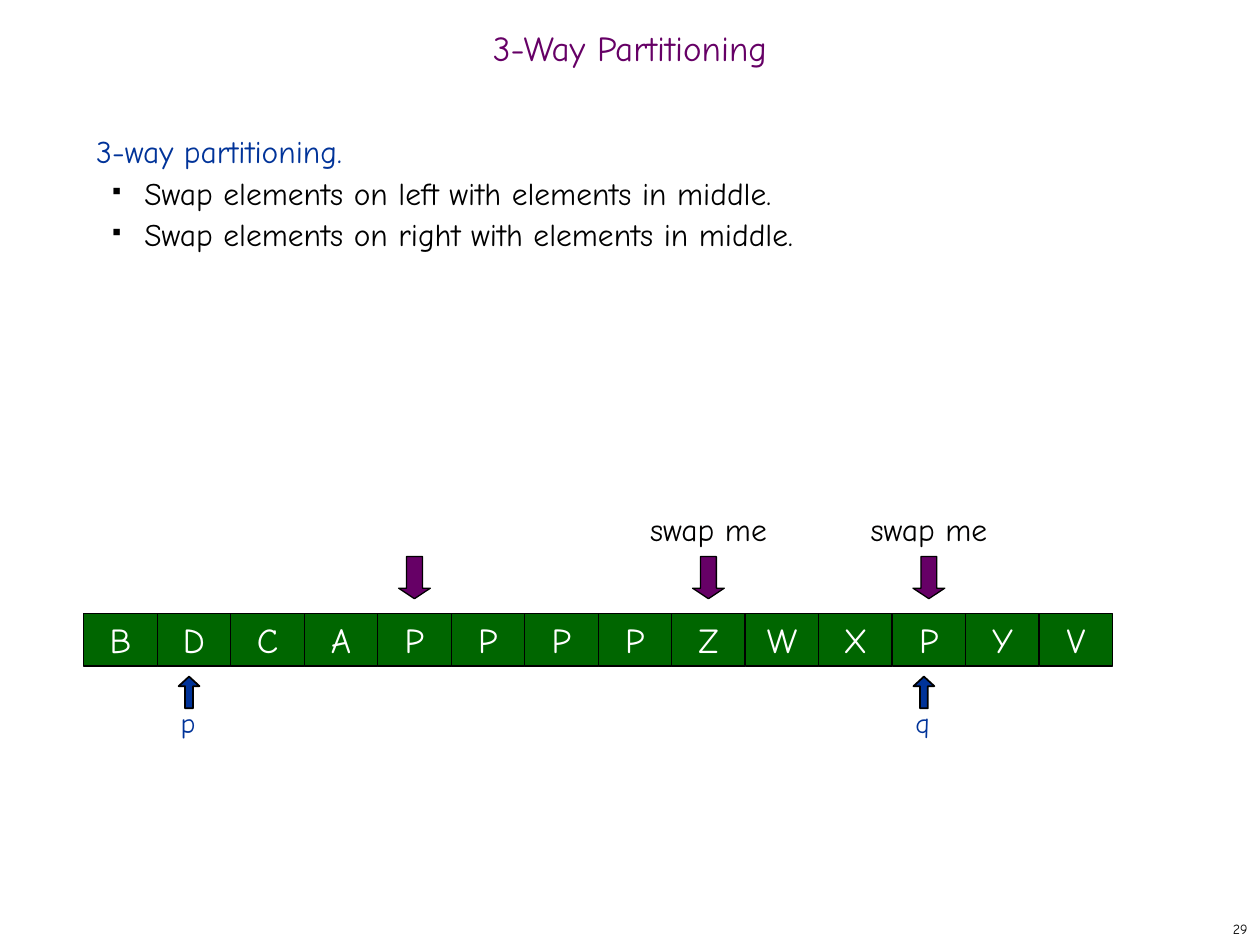
from lxml.etree import SubElement
from pptx import Presentation
from pptx.dml.color import RGBColor
from pptx.enum.shapes import MSO_SHAPE
from pptx.enum.text import MSO_ANCHOR, MSO_AUTO_SIZE, PP_ALIGN
from pptx.oxml.ns import qn
from pptx.util import Cm, Pt

FONT = "Comic Neue"
BLACK, WHITE, GREEN, BLUE, PLUM = "000000", "FFFFFF", "006600", "003399", "660066"
LEFT, TOP, HIGH = 1.69, 12.37, 1.06
KEYS = "BDCAPPPPZWXPYV"
STEP = 20.74 / len(KEYS)


def paint(color, code):
    color.rgb = RGBColor.from_string(code)


def mid(cell):
    """Centre of a cell of the array, in cm."""
    return LEFT + (cell + 0.5) * STEP


def write(para, text, size, code, align=PP_ALIGN.LEFT, before=0):
    para.alignment = align
    para.space_before = Pt(before)
    run = para.add_run()
    run.text = text
    run.font.name = FONT
    run.font.size = Pt(size)
    paint(run.font.color, code)


def add_box(shapes, x, y, w, h, anchor=MSO_ANCHOR.TOP):
    frame = shapes.add_textbox(Cm(x), Cm(y), Cm(w), Cm(h)).text_frame
    frame.word_wrap = True
    frame.vertical_anchor = anchor
    return frame


def add_form(shapes, kind, x, y, w, h, fill, line=0.75):
    form = shapes.add_shape(kind, Cm(x), Cm(y), Cm(w), Cm(h))
    form.shadow.inherit = False
    form.fill.solid()
    paint(form.fill.fore_color, fill)
    paint(form.line.color, BLACK)
    form.line.width = Pt(line)
    return form


def add_bullet(para):
    props = para._p.get_or_add_pPr()
    props.set("marL", str(Cm(0.97)))
    props.set("indent", str(-Cm(0.64)))
    color = SubElement(props, qn("a:buClr"))
    SubElement(color, qn("a:srgbClr"), val=BLACK)
    SubElement(props, qn("a:buSzPct"), val="35000")
    SubElement(props, qn("a:buChar"), char="■")


def add_cell(shapes, i, key):
    form = add_form(shapes, MSO_SHAPE.RECTANGLE, LEFT + i * STEP, TOP, STEP, HIGH, GREEN)
    frame = form.text_frame
    frame.word_wrap = False
    frame.vertical_anchor = MSO_ANCHOR.MIDDLE
    write(frame.paragraphs[0], key, 20, WHITE, PP_ALIGN.CENTER)


def add_index(shapes, cell, name):
    """Blue arrow and letter below a cell."""
    x = mid(cell) - 0.1
    frame = add_box(shapes, x - 0.42, 14.1, 0.84, 0.94)
    frame.auto_size = MSO_AUTO_SIZE.SHAPE_TO_FIT_TEXT
    write(frame.paragraphs[0], name, 16, BLUE, before=10)
    form = add_form(shapes, MSO_SHAPE.UP_ARROW, x - 0.21, 13.64, 0.42, 0.64, BLUE, 1)
    form.adjustments[0] = 0.38
    form.adjustments[1] = 0.46


def add_mark(shapes, cell):
    """Plum arrow above a cell."""
    form = add_form(shapes, MSO_SHAPE.DOWN_ARROW, mid(cell) - 0.32, 11.22, 0.64, 0.85, PLUM)
    form.adjustments[1] = 0.33


def add_swap(shapes, cell):
    group = shapes.add_group_shape().shapes
    add_mark(group, cell)
    frame = add_box(group, mid(cell) - 1.8, 10.16, 3.6, 1.02)
    frame.auto_size = MSO_AUTO_SIZE.SHAPE_TO_FIT_TEXT
    write(frame.paragraphs[0], "swap me", 18, "010000", PP_ALIGN.CENTER, 11.2)


def add_body(shapes):
    frame = add_box(shapes, 1.69, 2.54, 21.8, 15.03)
    write(frame.paragraphs[0], "3-way partitioning.", 18, BLUE, before=2.2)
    for side in ("left", "right"):
        para = frame.add_paragraph()
        para.level = 1
        write(para, f"Swap elements on {side} with elements in middle.", 18, BLACK, before=2.2)
        add_bullet(para)


def main():
    deck = Presentation()
    deck.slide_width, deck.slide_height = Cm(25.4), Cm(19.05)
    shapes = deck.slides.add_slide(deck.slide_layouts[6]).shapes

    title = add_box(shapes, 0, 0.42, 25.4, 1.27, MSO_ANCHOR.MIDDLE).paragraphs[0]
    write(title, "3-Way Partitioning", 20, PLUM, PP_ALIGN.CENTER)
    title.line_spacing = 0.7
    add_body(shapes)

    for i, key in enumerate(KEYS):
        add_cell(shapes, i, key)
    for cell, name in ((1, "p"), (11, "q")):
        add_index(shapes, cell, name)
    for cell in (8, 11):
        add_swap(shapes, cell)
    add_mark(shapes, 4)

    page = add_box(shapes, 20.11, 18.42, 5.29, 0.63, MSO_ANCHOR.MIDDLE)
    write(page.paragraphs[0], "29", 8, BLACK, PP_ALIGN.RIGHT)
    deck.save("out.pptx")


if __name__ == "__main__":
    main()
